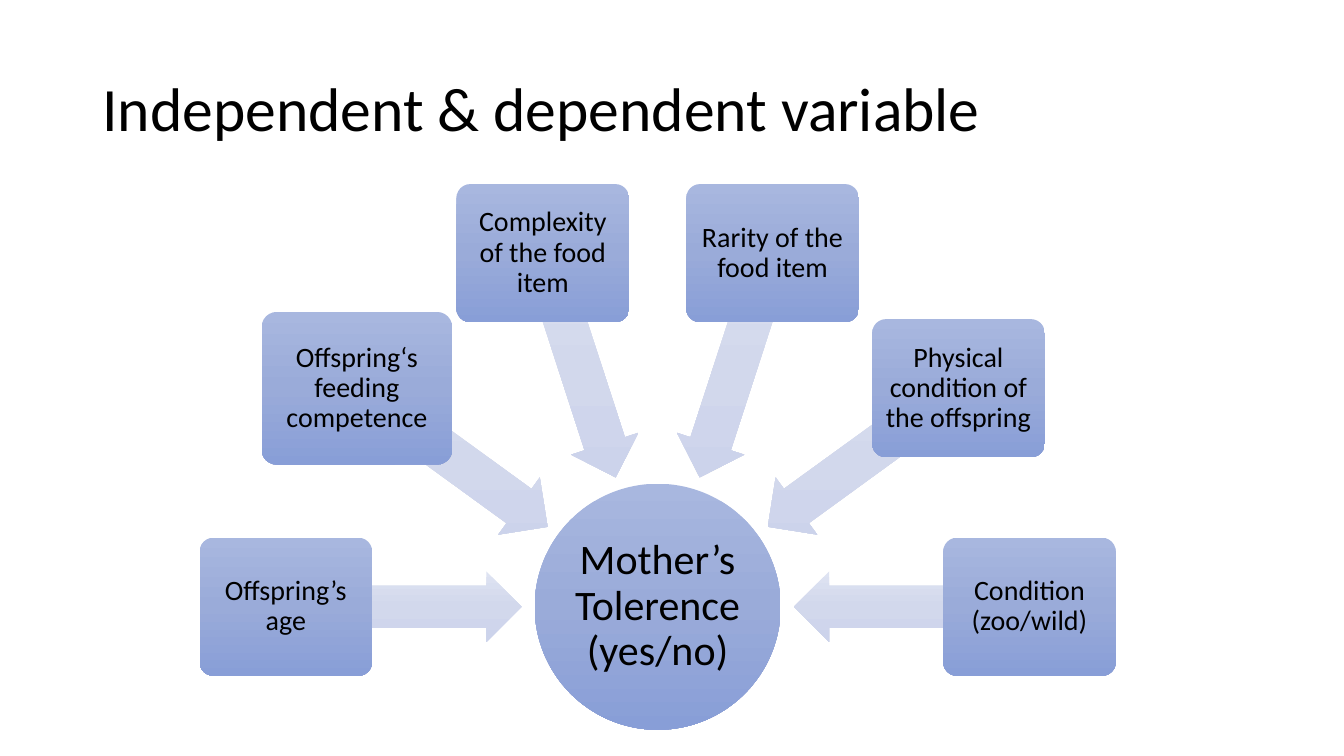
import copy
import math

import pptx
import pptx.util
import pptx.dml.color
import pptx.enum.shapes
import pptx.enum.text
import pptx.oxml.ns

Cm = pptx.util.Cm
RGB = pptx.dml.color.RGBColor
SHAPE = pptx.enum.shapes.MSO_SHAPE
ALIGN = pptx.enum.text.PP_ALIGN

BLACK = RGB(0x00, 0x00, 0x00)
NODE_STOPS = [RGB(0xA8, 0xB7, 0xDF), RGB(0x9A, 0xAB, 0xD9), RGB(0x88, 0x9E, 0xD7)]
ARROW_STOPS = [RGB(0xDE, 0xE3, 0xF2), RGB(0xD2, 0xD8, 0xEC), RGB(0xCC, 0xD3, 0xEB)]

# Factors clockwise from the left: text and scale of the box
FACTORS = [
    ("Offspring’s age", 1),
    ("Offspring‘s feeding competence", 1.105),
    ("Complexity of the food item", 1),
    ("Rarity of the food item", 1),
    ("Physical condition of the offspring", 1),
    ("Condition (zoo/wild)", 1),
]


def write(shape, text, size, align=ALIGN.CENTER, inset=0.1):
    tf = shape.text_frame
    tf.word_wrap = True
    tf.auto_size = pptx.enum.text.MSO_AUTO_SIZE.NONE
    tf.vertical_anchor = pptx.enum.text.MSO_ANCHOR.MIDDLE
    tf.margin_left = tf.margin_right = Cm(inset)
    tf.margin_top = tf.margin_bottom = Cm(inset)
    p = tf.paragraphs[0]
    p.alignment = align
    p.line_spacing = 0.9
    r = p.add_run()
    r.text = text
    r.font.size = pptx.util.Pt(size)
    r.font.name = "Calibri"
    r.font.color.rgb = BLACK


def fill_gradient(shape, colors):
    """Top-to-bottom gradient of three colours that stays upright."""
    shape.fill.gradient()
    shape.fill.gradient_angle = 270
    grad = shape._element.spPr.find(pptx.oxml.ns.qn("a:gradFill"))
    grad.set("rotWithShape", "0")
    first = grad.find(pptx.oxml.ns.qn("a:gsLst"))[0]
    first.addnext(copy.deepcopy(first))
    for i, (stop, color) in enumerate(zip(shape.fill.gradient_stops, colors)):
        stop.position = i / 2
        stop.color.rgb = color


def add_centered(s, kind, cx, cy, w, h, colors):
    sp = s.shapes.add_shape(kind, Cm(cx - w / 2), Cm(cy - h / 2), Cm(w), Cm(h))
    sp.shadow.inherit = False
    sp.line.fill.background()
    fill_gradient(sp, colors)
    return sp


def add_title(s, x, y, w, h):
    title = s.shapes.title
    title.left, title.top, title.width, title.height = Cm(x), Cm(y), Cm(w), Cm(h)
    write(title, "Independent & dependent variable", 44, ALIGN.LEFT, inset=0.25)


def add_radial(s, x, y, w, h):
    """Half circle of factors whose arrows point at the hub at the bottom."""
    hub_size, box_w, box_h = 6.2, 4.35, 3.48
    cx, cy = x + w / 2, y + h - hub_size / 2
    box_radius = (w - box_w) / 2
    arrow_radius = 6.4

    hub = add_centered(s, SHAPE.OVAL, cx, cy, hub_size, hub_size, NODE_STOPS)
    write(hub, "Mother’s Tolerence (yes/no)", 30, inset=0.05)

    for i, (text, scale) in enumerate(FACTORS):
        angle = 180 + i * 180 / (len(FACTORS) - 1)
        dx, dy = math.cos(math.radians(angle)), math.sin(math.radians(angle))

        arrow = add_centered(s, SHAPE.LEFT_ARROW, cx + arrow_radius * dx,
                             cy + arrow_radius * dy, 5.94, 1.78, ARROW_STOPS)
        arrow.adjustments[0] = 0.6
        arrow.adjustments[1] = 0.5
        arrow.rotation = angle % 360

        box = add_centered(s, SHAPE.ROUNDED_RECTANGLE, cx + box_radius * dx,
                           cy + box_radius * dy, box_w * scale, box_h * scale,
                           NODE_STOPS)
        box.adjustments[0] = 0.1
        write(box, text, 20)


prs = pptx.Presentation()
prs.slide_width, prs.slide_height = Cm(33.87), Cm(19.05)
s = prs.slides.add_slide(prs.slide_layouts[5])
add_radial(s, 5.03, 4.62, 23.09, 13.77)
add_title(s, 2.33, 0.97, 29.21, 3.68)
prs.save("out.pptx")
